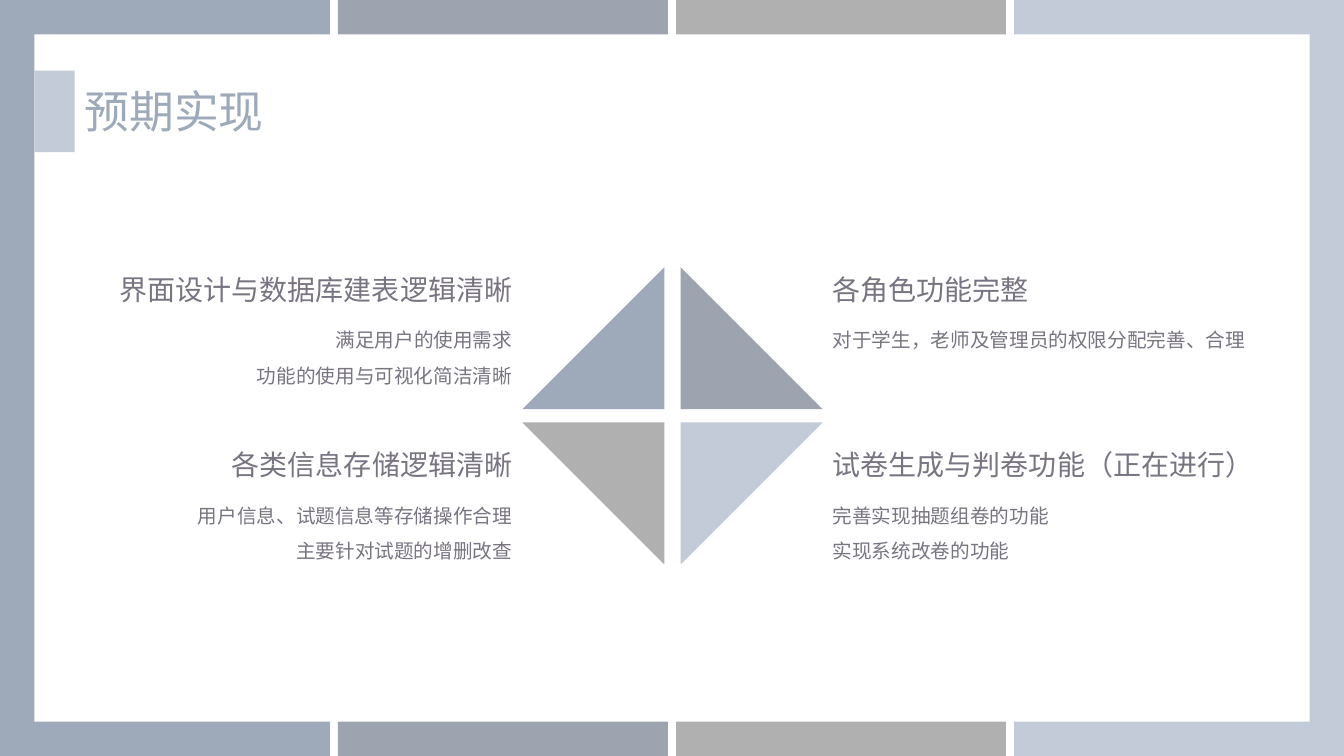
from lxml import etree
from pptx import Presentation
from pptx.dml.color import RGBColor
from pptx.enum.shapes import MSO_SHAPE
from pptx.enum.text import MSO_AUTO_SIZE, PP_ALIGN
from pptx.oxml.ns import qn
from pptx.util import Inches, Pt

RECTANGLE = MSO_SHAPE.RECTANGLE
TRIANGLE = MSO_SHAPE.RIGHT_TRIANGLE
LEFT, RIGHT = PP_ALIGN.LEFT, PP_ALIGN.RIGHT
FIT_SHAPE = MSO_AUTO_SIZE.SHAPE_TO_FIT_TEXT

FONT = "Noto Sans CJK SC"
COLORS = {
    "blue": "9EA9BA",
    "slate": "9EA4AF",
    "gray": "B0B0B0",
    "pale": "C3CAD8",
    "white": "FFFFFF",
    "text": "787481",
}

TITLE = "预期实现"
BANDS = ["blue", "slate", "gray", "pale"]
GOALS = [
    {"column": 1, "row": 0, "color": "slate", "rotation": 0,
     "heading": "各角色功能完整",
     "details": ["对于学生，老师及管理员的权限分配完善、合理"]},
    {"column": 1, "row": 1, "color": "pale", "rotation": 90,
     "heading": "试卷生成与判卷功能（正在进行）",
     "details": ["完善实现抽题组卷的功能", "实现系统改卷的功能"]},
    {"column": 0, "row": 0, "color": "blue", "rotation": 270,
     "heading": "界面设计与数据库建表逻辑清晰",
     "details": ["满足用户的使用需求", "功能的使用与可视化简洁清晰"]},
    {"column": 0, "row": 1, "color": "gray", "rotation": 180,
     "heading": "各类信息存储逻辑清晰",
     "details": ["用户信息、试题信息等存储操作合理", "主要针对试题的增删改查"]},
]

WIDTH, HEIGHT = 13.33, 7.5
BORDER = 0.34
BAND_GAP = 0.08
BAND_WIDTH = (WIDTH - BAND_GAP * (len(BANDS) - 1)) / len(BANDS)
TEXT_WIDTH = 4.59
TAB_TOP, TAB_WIDTH, TAB_HEIGHT = 0.7, 0.4, 0.81
TITLE_HEIGHT = 0.64
SIDE = 1.41
DIAMOND_LEFT, DIAMOND_TOP = 5.18, 2.65
COLUMN_STEP, ROW_STEP = 1.57, 1.54
TEXT_ROW_STEP = 1.74
HEADING_HEIGHT = 0.44
DETAIL_HEIGHTS = {1: 0.42, 2: 0.77}


def add_block(slide, kind, left, top, width, height, color, rotation=0):
    shape = slide.shapes.add_shape(
        kind, Inches(left), Inches(top), Inches(width), Inches(height))
    shape.shadow.inherit = False
    shape.fill.solid()
    shape.fill.fore_color.rgb = RGBColor.from_string(COLORS[color])
    shape.line.fill.background()
    shape.rotation = rotation


def add_text(slide, lines, left, top, height, size, color, align=LEFT, spacing=None):
    box = slide.shapes.add_textbox(
        Inches(left), Inches(top), Inches(TEXT_WIDTH), Inches(height))
    frame = box.text_frame
    frame.word_wrap = True
    frame.auto_size = FIT_SHAPE
    frame.text = "\n".join(lines)
    for paragraph in frame.paragraphs:
        paragraph.alignment = align
        paragraph.line_spacing = spacing
        font = paragraph.font
        font.size = Pt(size)
        font.color.rgb = RGBColor.from_string(COLORS[color])
        font.name = FONT
        properties = paragraph._p.pPr.find(qn("a:defRPr"))
        etree.SubElement(properties, qn("a:ea"), typeface=FONT)


def add_goal(slide, goal):
    column, row = goal["column"], goal["row"]
    add_block(slide, TRIANGLE, DIAMOND_LEFT + column * COLUMN_STEP,
              DIAMOND_TOP + row * ROW_STEP, SIDE, SIDE,
              goal["color"], goal["rotation"])
    if column:
        left, align = DIAMOND_LEFT + COLUMN_STEP + SIDE, LEFT
    else:
        left, align = DIAMOND_LEFT - TEXT_WIDTH, RIGHT
    top = DIAMOND_TOP + row * TEXT_ROW_STEP
    details = goal["details"]
    add_text(slide, [goal["heading"]], left, top, HEADING_HEIGHT, 20, "text", align)
    add_text(slide, details, left, top + HEADING_HEIGHT,
             DETAIL_HEIGHTS[len(details)], 14, "text", align, 1.5)


def main():
    presentation = Presentation()
    presentation.slide_width = Inches(WIDTH)
    presentation.slide_height = Inches(HEIGHT)
    slide = presentation.slides.add_slide(presentation.slide_layouts[6])

    for index, color in enumerate(BANDS):
        add_block(slide, RECTANGLE, index * (BAND_WIDTH + BAND_GAP), 0,
                  BAND_WIDTH, HEIGHT, color)
    add_block(slide, RECTANGLE, BORDER, BORDER,
              WIDTH - 2 * BORDER, HEIGHT - 2 * BORDER, "white")

    add_block(slide, RECTANGLE, BORDER, TAB_TOP, TAB_WIDTH, TAB_HEIGHT, "pale")
    add_text(slide, [TITLE], BORDER + TAB_WIDTH,
             TAB_TOP + (TAB_HEIGHT - TITLE_HEIGHT) / 2, TITLE_HEIGHT, 32, "blue")

    for goal in GOALS:
        add_goal(slide, goal)
    presentation.save("out.pptx")


if __name__ == "__main__":
    main()
